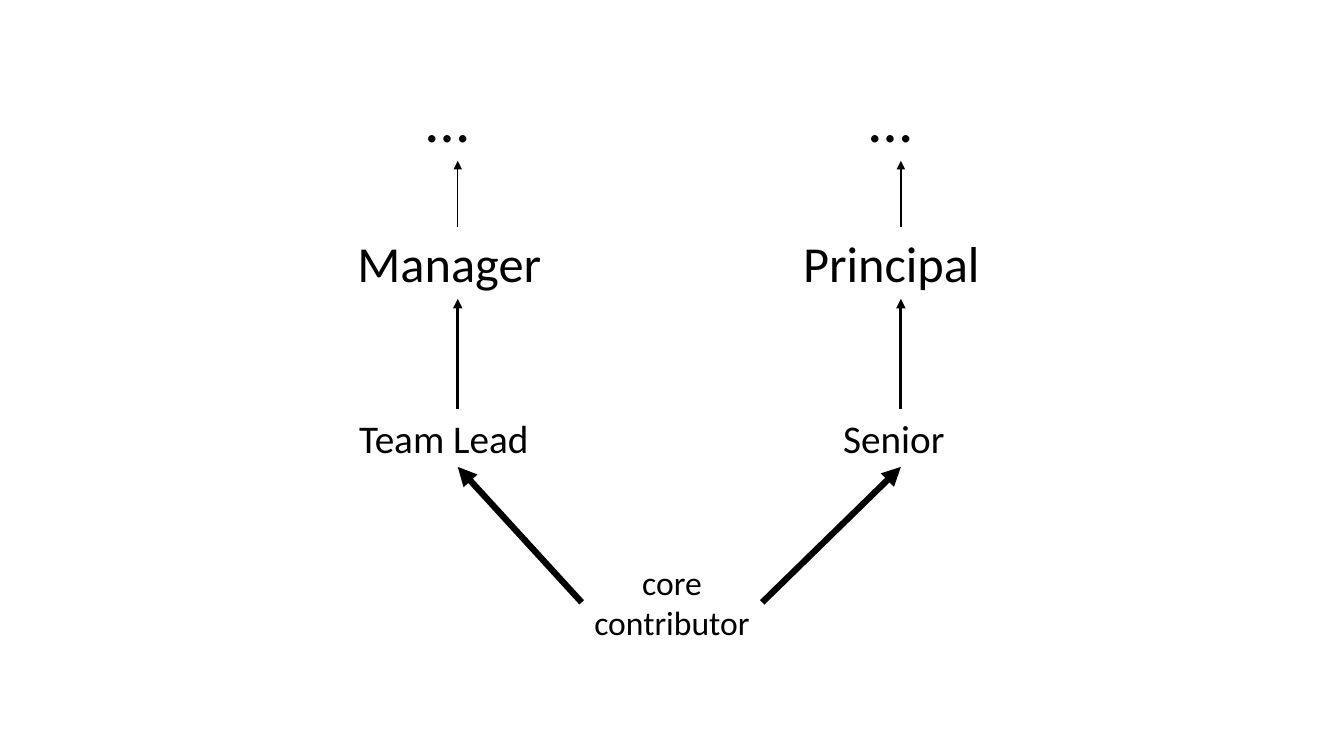
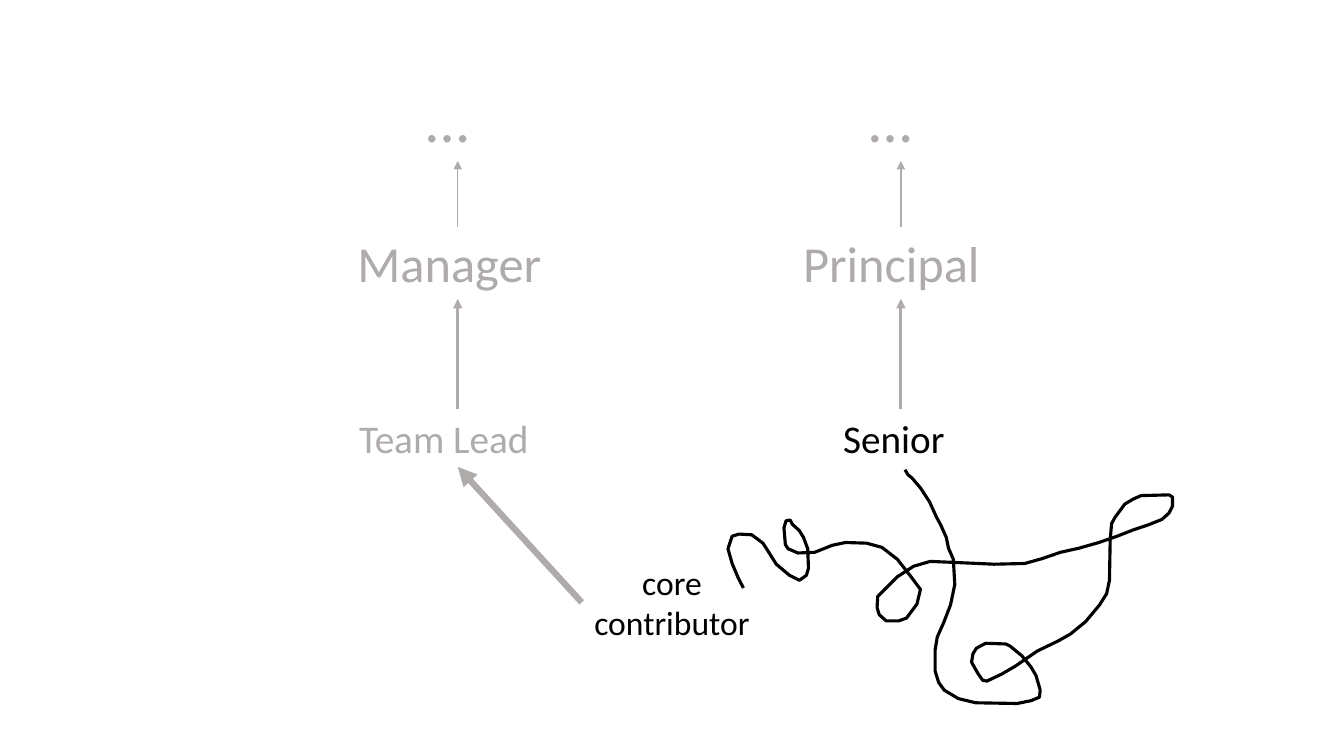
from pptx import Presentation
from pptx.dml.color import RGBColor
from pptx.enum.shapes import MSO_CONNECTOR
from pptx.enum.text import MSO_AUTO_SIZE, PP_ALIGN
from pptx.oxml.ns import qn
from pptx.util import Pt
from lxml import etree

STRAIGHT = MSO_CONNECTOR.STRAIGHT
LEFT, CENTER = PP_ALIGN.LEFT, PP_ALIGN.CENTER
GROW = MSO_AUTO_SIZE.SHAPE_TO_FIT_TEXT
TOP, WEST, BOTTOM, EAST = range(4)

FONT = "Calibri"
BLACK, GRAY = "000000", "AFABAB"

# Rungs of a ladder, from the bottom: top, height, text size
RUNGS = [(292.5, 41, 28), (162.5, 51, 36), (54.5, 60.5, 44)]
# Line widths of the arrows that lead up to each rung
WIDTHS = [4.5, 2.25, 1]
# Ladders: middle, side of the core box to start from, (label, width) per rung
LEAD = (327, WEST, [("Team Lead", 155), ("Manager", 157.5), ("…", 59)])
EXPERT = (643.5, EAST, [("Senior", 96.5), ("Principal", 154), ("…", 59)])

DETOUR = [
    (531, 420), (527, 412), (523, 402.5), (520, 392), (523, 383),
    (528, 381.5), (537, 382), (545, 388), (549.5, 395), (554.5, 403),
    (564, 411), (571, 414.5), (576, 411), (577.5, 406), (577, 392),
    (574, 384), (571, 379), (566, 374.5), (564.5, 371.5), (561.5, 372),
    (560, 377), (561, 389), (563, 392), (570, 395), (582, 394.5),
    (594.5, 389.5), (604, 387.5), (619, 388), (630, 391), (641, 399.5),
    (650, 411), (656, 419), (657.5, 421), (655, 431.5), (647.5, 441.5),
    (642, 443.5), (633, 443.5), (628, 439), (626.5, 434), (627, 426),
    (633, 420), (641, 412), (652.5, 404.5), (664.5, 401), (699, 402.5),
    (710, 403), (732, 402.5), (744.5, 399), (757.5, 394.5), (771, 391.5),
    (785, 387.5), (798, 383), (809.5, 378.5), (820, 375), (830, 371),
    (835, 366.5), (837.5, 361.5), (837.5, 355), (835, 353.5), (815, 354),
    (809.5, 356.5), (803.5, 360), (796.5, 369.5), (794, 374), (793, 386),
    (792.5, 414.5), (790.5, 424), (785.5, 432), (775.5, 444), (764.5, 453),
    (755.5, 458), (741, 465), (725, 476), (715.5, 481.5), (705, 486.5),
    (702, 486), (698.5, 481), (694, 473), (695, 467), (697.5, 463),
    (704, 459.5), (718.5, 460), (721.5, 461.5), (730, 468.5), (736.5, 476.5),
    (740, 482.5), (742.5, 491), (743, 493), (742.5, 498), (736.5, 500.5),
    (726.5, 502.5), (697, 502), (684.5, 499), (674.5, 493), (670.5, 487.5),
    (668, 479.5), (668, 464), (669.5, 455), (674, 445), (679, 432),
    (682, 417.5), (681, 399.5), (677.5, 391.5), (676, 384), (672, 375),
    (669, 369.5), (664, 358.5), (657.5, 348.5), (651.5, 341.5), (648.5, 339),
    (646.5, 335.5),
]


def paint(line, color, width):
    line.color.rgb = RGBColor.from_string(color)
    line.width = Pt(width)


def label(slide, words, x, y, w, h, size, color=BLACK, align=LEFT, wrap=False):
    box = slide.shapes.add_textbox(Pt(x), Pt(y), Pt(w), Pt(h))
    frame = box.text_frame
    frame.word_wrap = wrap
    frame.auto_size = GROW
    para = frame.paragraphs[0]
    para.alignment = align
    run = para.add_run()
    run.text = words
    run.font.name = FONT
    run.font.size = Pt(size)
    run.font.color.rgb = RGBColor.from_string(color)
    return box


def arrow(slide, start, side, end, color, width):
    """Join a side of one box to the bottom of another."""
    line = slide.shapes.add_connector(STRAIGHT, 0, 0, 0, 0)
    line.begin_connect(start, side)
    line.end_connect(end, BOTTOM)
    paint(line.line, color, width)
    props = line.element.spPr
    etree.SubElement(props.find(qn("a:ln")), qn("a:tailEnd"), type="triangle")
    etree.SubElement(props, qn("a:effectLst"))


def core(slide):
    return label(slide, "core contributor", 415.5, 397.5, 129, 65.5, 24,
                 align=CENTER, wrap=True)


def ladder(slide, base, plan, color, first=True):
    """Stack the rungs; without first, the lowest is black and has no arrow."""
    mid, side, steps = plan
    below = base
    for (words, w), (y, h, size), width in zip(steps, RUNGS, WIDTHS):
        joined = first or below is not base
        box = label(slide, words, mid - w / 2, y, w, h, size,
                    color=color if joined else BLACK)
        if joined:
            arrow(slide, below, side, box, color, width)
        below, side = box, TOP


def scrawl(slide, points, color, width):
    start, *rest = [(Pt(x), Pt(y)) for x, y in points]
    pen = slide.shapes.build_freeform(*start)
    pen.add_line_segments(rest, close=False)
    shape = pen.convert_to_shape()
    shape.shadow.inherit = False
    shape.fill.background()
    paint(shape.line, color, width)


def main():
    deck = Presentation()
    deck.slide_width, deck.slide_height = Pt(960), Pt(540)
    blank = deck.slide_layouts[6]

    paths = deck.slides.add_slide(blank)
    base = core(paths)
    for plan in (LEAD, EXPERT):
        ladder(paths, base, plan, BLACK)

    real = deck.slides.add_slide(blank)
    base = core(real)
    ladder(real, base, LEAD, GRAY)
    ladder(real, base, EXPERT, GRAY, first=False)
    scrawl(real, DETOUR, BLACK, 2.25)

    deck.save("out.pptx")


if __name__ == "__main__":
    main()
